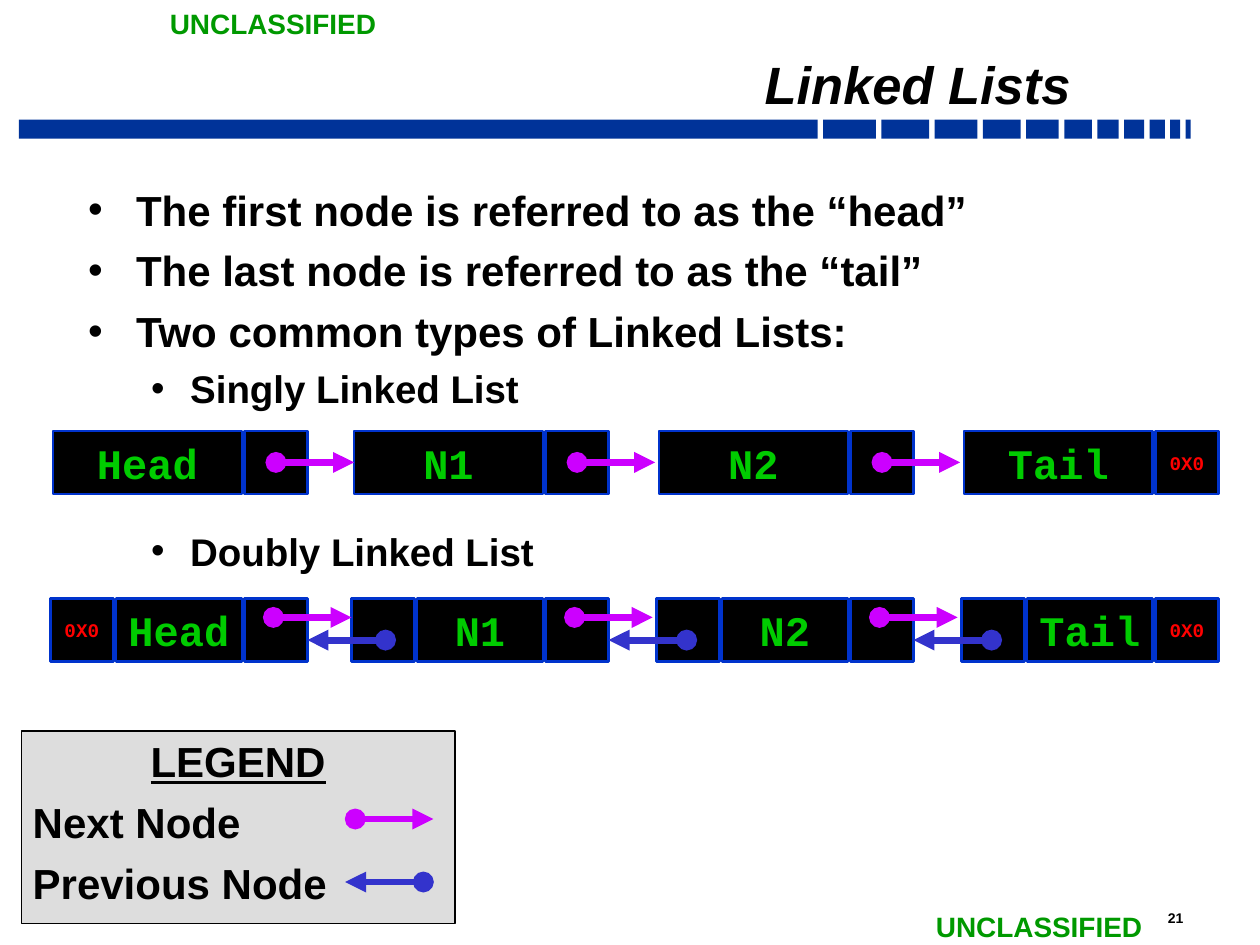
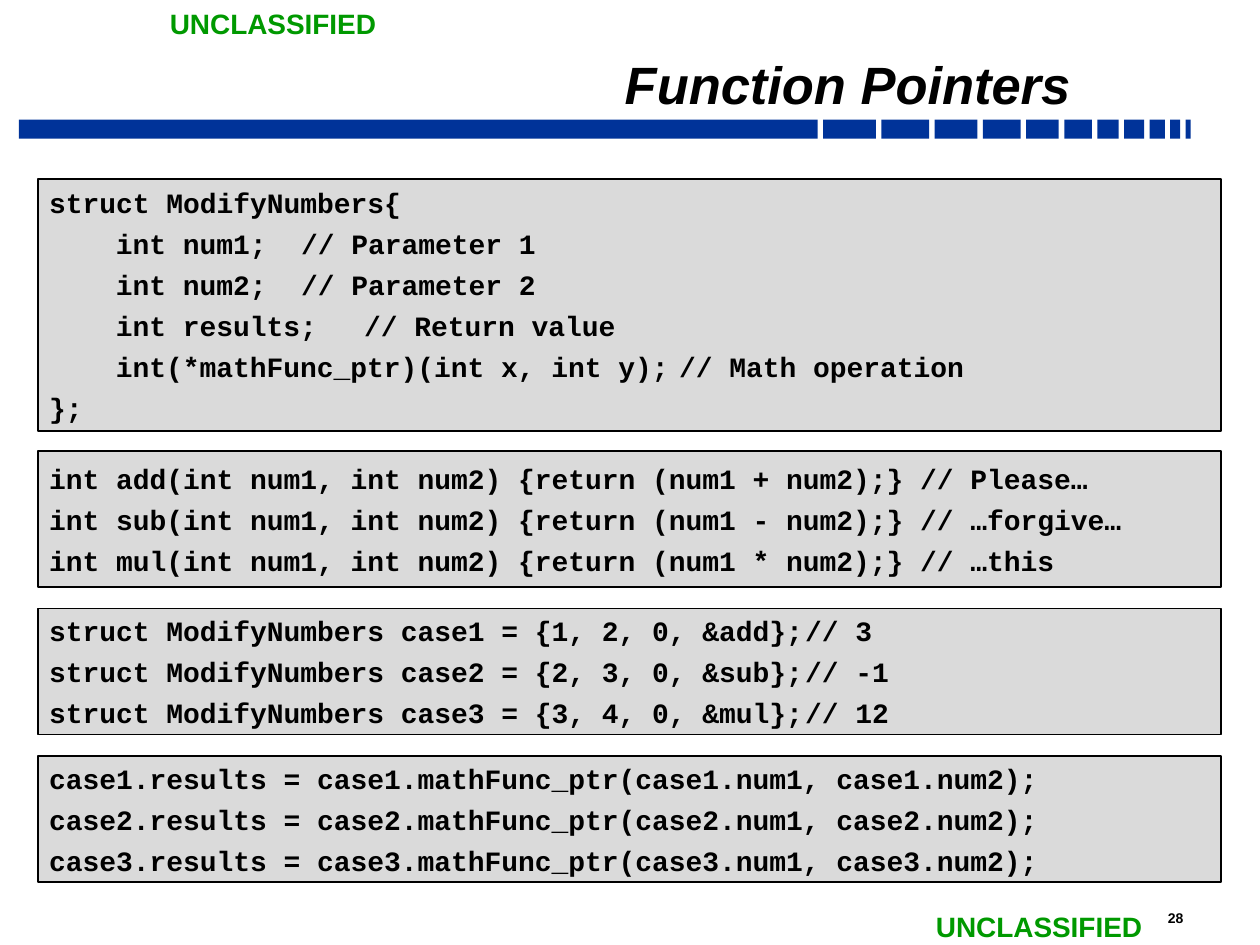
from dataclasses import dataclass

from lxml.etree import SubElement
from pptx import Presentation
from pptx.dml.color import RGBColor
from pptx.enum.shapes import MSO_CONNECTOR, MSO_SHAPE
from pptx.enum.text import MSO_ANCHOR, MSO_AUTO_SIZE, PP_ALIGN
from pptx.oxml.ns import qn
from pptx.util import Inches, Pt


@dataclass(frozen=True)
class Theme:
    sans: str = "Arial"
    mono: str = "Courier New"
    ink: str = "000000"
    band: str = "003399"
    marking: str = "009900"
    cell_fill: str = "000000"
    cell_line: str = "0033CC"
    cell_text: str = "00CC00"
    null_text: str = "FF0000"
    next_arrow: str = "CC00FF"
    previous_arrow: str = "3333CC"
    legend_fill: str = "DDDDDD"
    code_fill: str = "DADADA"
    title_size: float = 30
    body_size: float = 24
    sub_size: float = 22
    code_size: float = 16
    marking_size: float = 16
    null_size: float = 11
    number_size: float = 8


THEME = Theme()
MARKING = "UNCLASSIFIED"
PANEL_INSETS = (0.09, 0.04)
BAND_LEFT, BAND_RIGHT = 0.15, 9.45
BAND_WIDTHS = (6.34, 0.42, 0.38, 0.34, 0.3, 0.26, 0.22, 0.17, 0.16, 0.12, 0.08, 0.04)
NODES = (("Head", 1.92), ("N1", 4.31), ("N2", 6.73), ("Tail", 9.15))
CELL = 0.5
CELL_GAP = 0.02
ARROW_LENGTH = 0.62
CODE_INDENT = 0.53
COMMENT_TAB = 6.01

BULLETS = (
    ("The first node is referred to as the “head”", 0, 6),
    ("The last node is referred to as the “tail”", 0, 6),
    ("Two common types of Linked Lists:", 0, 6),
    ("Singly Linked List", 1, 5),
    ("Doubly Linked List", 1, 66.5),
)

CODE_PANELS = (
    (1.42, 2, (
        "struct ModifyNumbers{",
        "\tint num1;\t// Parameter 1",
        "\tint num2;\t// Parameter 2",
        "\tint results;\t// Return value",
        "\tint(*mathFunc_ptr)(int x, int y);\t// Math operation",
        "};",
    )),
    (3.58, 1.08, (
        "int add(int num1, int num2) {return (num1 + num2);} // Please…",
        "int sub(int num1, int num2) {return (num1 - num2);} // …forgive…",
        "int mul(int num1, int num2) {return (num1 * num2);} // …this",
    )),
    (4.83, 1, (
        "struct ModifyNumbers case1 = {1, 2, 0, &add};\t// 3",
        "struct ModifyNumbers case2 = {2, 3, 0, &sub};\t// -1",
        "struct ModifyNumbers case3 = {3, 4, 0, &mul};\t// 12",
    )),
    (6, 1, [
        f"case{n}.results = case{n}.mathFunc_ptr(case{n}.num1, case{n}.num2);"
        for n in (1, 2, 3)
    ]),
)


def write_text(paragraph, text, size, font=THEME.sans, color=THEME.ink, italic=False,
               underline=False, align=PP_ALIGN.LEFT, before=0, line_spacing=None):
    run = paragraph.add_run()
    run.text = text
    run.font.name = font
    run.font.size = Pt(size)
    run.font.bold = True
    run.font.italic = italic
    run.font.underline = underline
    run.font.color.rgb = RGBColor.from_string(color)
    paragraph.alignment = align
    paragraph.space_before = Pt(before)
    if line_spacing:
        paragraph.line_spacing = line_spacing


def set_frame(frame, insets=PANEL_INSETS, anchor=MSO_ANCHOR.TOP, wrap=True):
    frame.margin_left = frame.margin_right = Inches(insets[0])
    frame.margin_top = frame.margin_bottom = Inches(insets[1])
    frame.vertical_anchor = anchor
    frame.word_wrap = wrap
    frame.auto_size = MSO_AUTO_SIZE.NONE


def next_paragraph(frame, index):
    return frame.add_paragraph() if index else frame.paragraphs[0]


def place(shape, left, top, width, height):
    shape.left, shape.top = Inches(left), Inches(top)
    shape.width, shape.height = Inches(width), Inches(height)


def add_box(slide, left, top, width, height, fill, line=None, line_width=1):
    box = slide.shapes.add_shape(
        MSO_SHAPE.RECTANGLE, Inches(left), Inches(top), Inches(width), Inches(height))
    box.shadow.inherit = False
    box.fill.solid()
    box.fill.fore_color.rgb = RGBColor.from_string(fill)
    if line:
        box.line.color.rgb = RGBColor.from_string(line)
        box.line.width = Pt(line_width)
    else:
        box.line.fill.background()
    return box


def add_label(slide, left, top, width, height, text, wrap=False, **text_format):
    label = slide.shapes.add_textbox(
        Inches(left), Inches(top), Inches(width), Inches(height))
    set_frame(label.text_frame, insets=(0.1, 0.05), wrap=wrap)
    write_text(label.text_frame.paragraphs[0], text, **text_format)


def add_arrow(slide, start, end, y, color):
    arrow = slide.shapes.add_connector(
        MSO_CONNECTOR.STRAIGHT, Inches(start), Inches(y), Inches(end), Inches(y))
    arrow.line.color.rgb = RGBColor.from_string(color)
    arrow.line.width = Pt(4)
    line = arrow.line._get_or_add_ln()
    SubElement(line, qn("a:headEnd"), type="oval")
    SubElement(line, qn("a:tailEnd"), type="triangle")
    SubElement(arrow._element.spPr, qn("a:effectLst"))


def add_next_arrow(slide, start, y):
    add_arrow(slide, start, start + ARROW_LENGTH, y, THEME.next_arrow)


def add_previous_arrow(slide, tip, y):
    add_arrow(slide, tip + ARROW_LENGTH, tip, y, THEME.previous_arrow)


def add_band(slide):
    gap = (BAND_RIGHT - BAND_LEFT - sum(BAND_WIDTHS)) / (len(BAND_WIDTHS) - 1)
    left = BAND_LEFT
    for width in BAND_WIDTHS:
        add_box(slide, left, 0.95, width, 0.15, THEME.band)
        left += width + gap


def add_base_slide(presentation, layout, title, number):
    slide = presentation.slides.add_slide(presentation.slide_layouts.get_by_name(layout))
    add_band(slide)
    for left, top in ((1.25, 0), (7.33, 7.17)):
        add_label(slide, left, top, 1.86, 0.37, MARKING,
                  size=THEME.marking_size, color=THEME.marking)
    add_label(slide, 9.17, 7.17, 0.54, 0.23, number, wrap=True, size=THEME.number_size)
    heading = slide.shapes.title
    place(heading, 1.67, 0.35, 6.92, 0.59)
    set_frame(heading.text_frame, anchor=MSO_ANCHOR.BOTTOM)
    write_text(heading.text_frame.paragraphs[0], title, size=THEME.title_size,
               italic=True, align=PP_ALIGN.RIGHT, line_spacing=0.7)
    return slide


def set_bullet(paragraph, margin, hanging):
    properties = paragraph._p.get_or_add_pPr()
    properties.set("marL", str(Inches(margin)))
    properties.set("indent", str(-Inches(hanging)))
    color = SubElement(properties, qn("a:buClr"))
    SubElement(color, qn("a:srgbClr"), val=THEME.ink)
    SubElement(properties, qn("a:buFont"), typeface=THEME.sans)
    SubElement(properties, qn("a:buChar"), char="•")


def fill_bullets(body):
    place(body, 0.61, 1.42, 9.07, 5.17)
    set_frame(body.text_frame)
    for index, (text, level, before) in enumerate(BULLETS):
        paragraph = next_paragraph(body.text_frame, index)
        paragraph.level = level
        write_text(paragraph, text, before=before,
                   size=THEME.sub_size if level else THEME.body_size)
        set_bullet(paragraph, *((0.81, 0.31) if level else (0.38, 0.38)))


def add_cell(slide, left, top, width, text="", **text_format):
    cell = add_box(slide, left, top, width, CELL, THEME.cell_fill, THEME.cell_line, 1.5)
    if text:
        set_frame(cell.text_frame, insets=(0, 0), anchor=MSO_ANCHOR.MIDDLE)
        write_text(cell.text_frame.paragraphs[0], text, font=THEME.mono,
                   align=PP_ALIGN.CENTER, **text_format)


def add_pointer_cell(slide, left, top, is_null):
    add_cell(slide, left, top, CELL, "0X0" if is_null else "",
             size=THEME.null_size, color=THEME.null_text)


def add_linked_list(slide, top, data_width, doubly=False):
    first, last = NODES[0], NODES[-1]
    for node in NODES:
        name, data_right = node
        data_left = data_right - data_width
        add_cell(slide, data_left, top, data_width, name,
                 size=THEME.body_size, color=THEME.cell_text)
        add_pointer_cell(slide, data_right + CELL_GAP, top, node == last)
        if doubly:
            add_pointer_cell(slide, data_left - CELL_GAP - CELL, top, node == first)
    for name, data_right in NODES[:-1]:
        if doubly:
            add_next_arrow(slide, data_right + 0.25, top + 0.15)
            add_previous_arrow(slide, data_right + CELL_GAP + CELL, top + 0.33)
        else:
            add_next_arrow(slide, data_right + 0.27, top + CELL / 2)


def add_legend(slide):
    legend = add_box(slide, 0.17, 5.8, 3.44, 1.53, THEME.legend_fill, THEME.ink)
    frame = legend.text_frame
    set_frame(frame)
    for index, text in enumerate(("LEGEND", "Next Node", "Previous Node")):
        heading = index == 0
        write_text(next_paragraph(frame, index), text, size=THEME.body_size, before=6,
                   underline=heading, align=PP_ALIGN.CENTER if heading else PP_ALIGN.LEFT)
    add_next_arrow(slide, 2.82, 6.5)
    add_previous_arrow(slide, 2.74, 7)


def set_code_layout(paragraph, indented):
    properties = paragraph._p.get_or_add_pPr()
    properties.set("marL", "0")
    properties.set("indent", str(Inches(CODE_INDENT) if indented else 0))
    tabs = SubElement(properties, qn("a:tabLst"))
    SubElement(tabs, qn("a:tab"), pos=str(Inches(COMMENT_TAB)), algn="l")


def add_code_panel(slide, top, height, lines):
    panel = add_box(slide, 0.3, top, 9.39, height, THEME.code_fill, THEME.ink)
    set_frame(panel.text_frame, anchor=MSO_ANCHOR.MIDDLE)
    for index, line in enumerate(lines):
        paragraph = next_paragraph(panel.text_frame, index)
        write_text(paragraph, line.lstrip("\t"), size=THEME.code_size,
                   font=THEME.mono, before=4.3)
        set_code_layout(paragraph, line.startswith("\t"))


def main():
    presentation = Presentation()
    presentation.slide_width, presentation.slide_height = Inches(10), Inches(7.5)

    lists_slide = add_base_slide(presentation, "Title and Content", "Linked Lists", "21")
    fill_bullets(lists_slide.placeholders[1])
    add_linked_list(lists_slide, 3.42, 1.5)
    add_linked_list(lists_slide, 4.75, 1, doubly=True)
    add_legend(lists_slide)

    pointers_slide = add_base_slide(presentation, "Title Only", "Function Pointers", "28")
    for top, height, lines in CODE_PANELS:
        add_code_panel(pointers_slide, top, height, lines)

    presentation.save("out.pptx")


if __name__ == "__main__":
    main()
